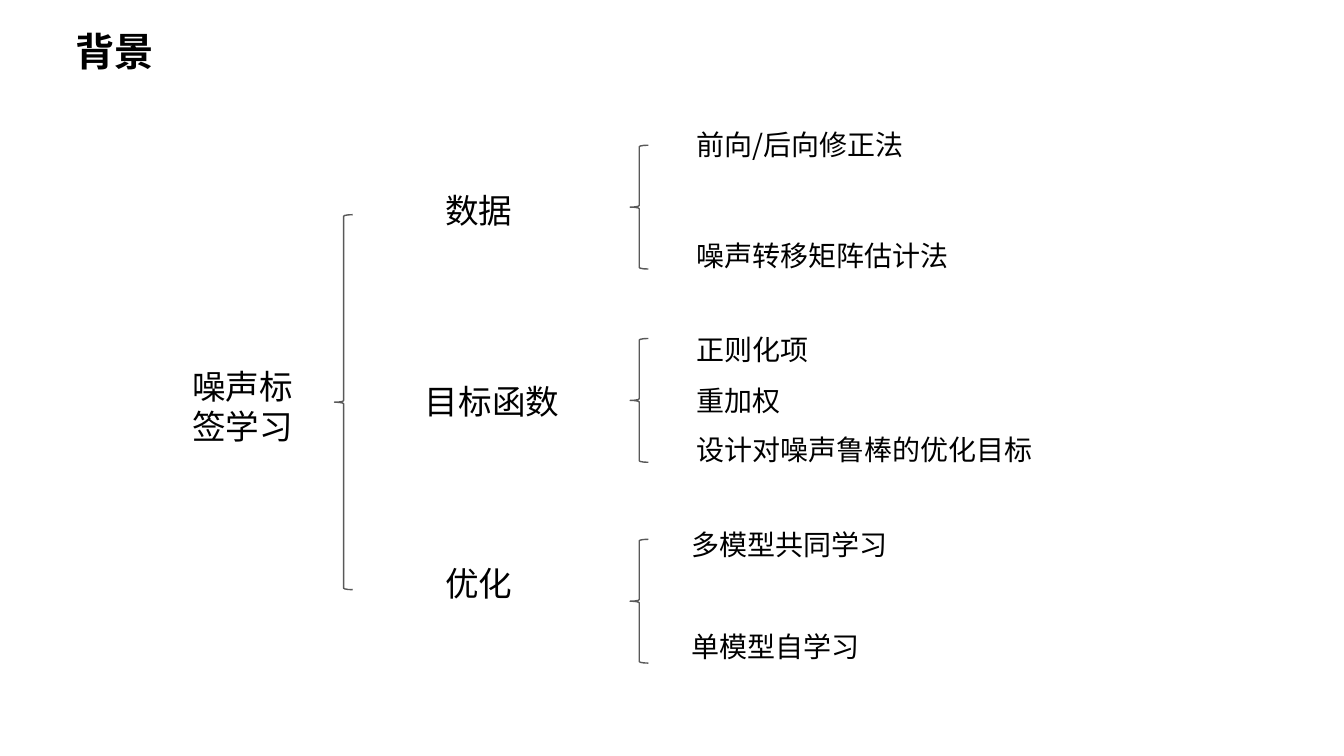
"""Builds the background slide: a brace tree of noisy-label learning methods."""
import pptx
import pptx.dml.color
import pptx.enum.shapes
import pptx.enum.text
import pptx.oxml
import pptx.oxml.ns
import pptx.util

Cm = pptx.util.Cm
FONT = "Noto Sans CJK SC"
BLACK = pptx.dml.color.RGBColor(0x00, 0x00, 0x00)
GRAY = pptx.dml.color.RGBColor(0x59, 0x59, 0x59)


def add_text(s, text, left, top, width, height, size, bold=False):
    tb = s.shapes.add_textbox(Cm(left), Cm(top), Cm(width), Cm(height))
    tf = tb.text_frame
    tf.word_wrap = True
    tf.auto_size = pptx.enum.text.MSO_AUTO_SIZE.SHAPE_TO_FIT_TEXT
    r = tf.paragraphs[0].add_run()
    r.text = text
    r.font.name = FONT
    r.font.size = pptx.util.Pt(size)
    r.font.bold = bold
    r.font.color.rgb = BLACK
    ea = pptx.oxml.parse_xml(
        f'<a:ea {pptx.oxml.ns.nsdecls("a")} typeface="{FONT}"/>')
    r.font._element.append(ea)


def add_brace(s, left, top, height):
    sp = s.shapes.add_shape(pptx.enum.shapes.MSO_SHAPE.LEFT_BRACE,
                            Cm(left), Cm(top), Cm(0.46), Cm(height))
    sp.shadow.inherit = False
    sp.fill.background()
    sp.line.color.rgb = GRAY
    sp.line.width = pptx.util.Pt(1)


prs = pptx.Presentation()
prs.slide_width = Cm(33.87)
prs.slide_height = Cm(19.05)
s = prs.slides.add_slide(prs.slide_layouts[6])

add_text(s, "背景", 1.65, 0.56, 4.57, 1.45, 28, bold=True)
add_text(s, "噪声标签学习", 4.6, 9.09, 3.1, 3.86, 24)
add_brace(s, 8.43, 5.41, 9.45)

branches = [
    ("数据", 10.97, 4.67, 2.41, 1.27, 3.66, 17.3, [
        ("前向/后向修正法", 3.1, 6.32, 2.29),
        ("噪声转移矩阵估计法", 5.89, 6.88, 2.29)]),
    ("目标函数", 10.46, 9.47, 4.14, 1.27, 8.53, 17.3, [
        ("正则化项", 8.26, 3.73, 2.29),
        ("重加权", 9.53, 3.73, 1.3),
        ("设计对噪声鲁棒的优化目标", 10.77, 9.25, 1.12)]),
    ("优化", 10.97, 14.05, 3.71, 1.5, 13.59, 17.17, [
        ("多模型共同学习", 13.16, 6.32, 1.3),
        ("单模型自学习", 15.75, 6.32, 1.3)]),
]
for name, left, top, width, height, brace_top, method_left, methods in branches:
    add_text(s, name, left, top, width, height, 24)
    add_brace(s, 15.88, brace_top, 3.12)
    for method, method_top, method_width, method_height in methods:
        add_text(s, method, method_left, method_top,
                 method_width, method_height, 20)

prs.save("out.pptx")
